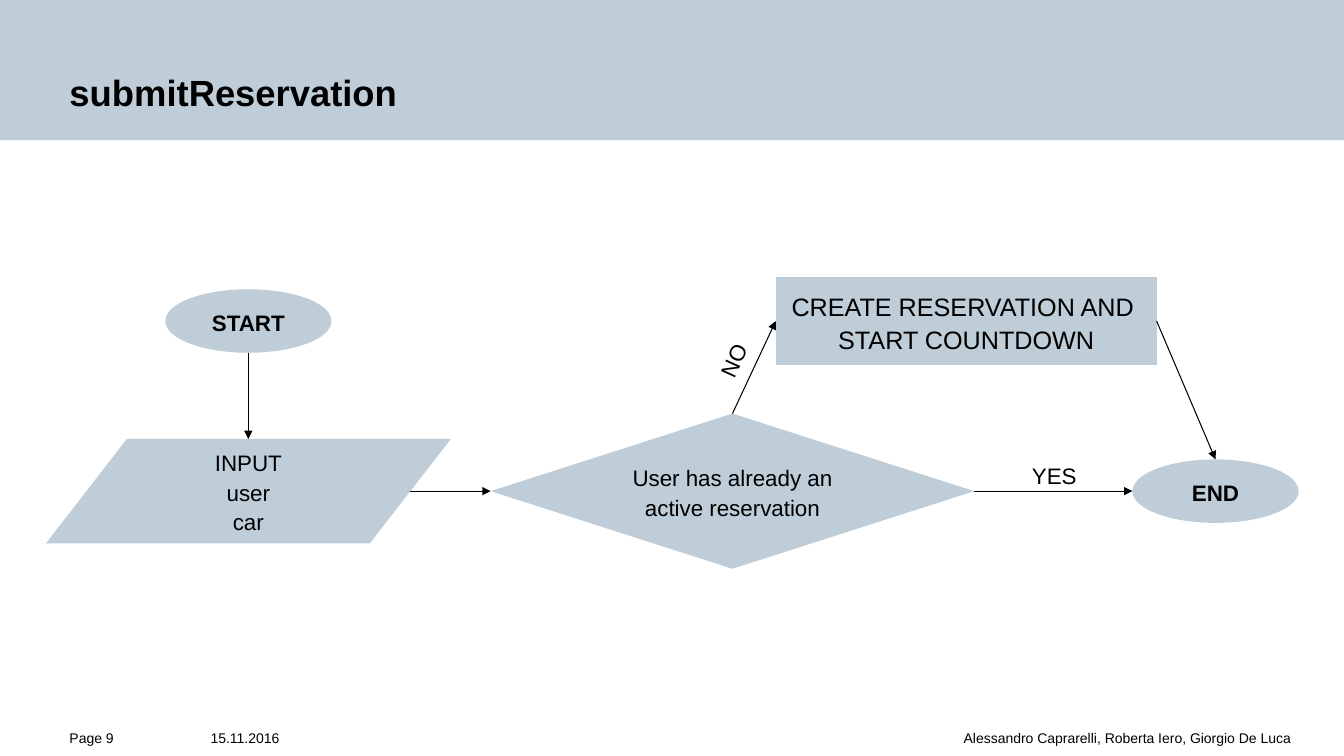
from lxml import etree
from pptx import Presentation
from pptx.dml.color import RGBColor
from pptx.enum.shapes import MSO_CONNECTOR, MSO_SHAPE
from pptx.enum.text import MSO_ANCHOR, MSO_AUTO_SIZE, PP_ALIGN
from pptx.oxml.ns import qn
from pptx.util import Inches, Pt

LEFT, CENTER, RIGHT = PP_ALIGN.LEFT, PP_ALIGN.CENTER, PP_ALIGN.RIGHT
TOP, MIDDLE, BOTTOM = MSO_ANCHOR.TOP, MSO_ANCHOR.MIDDLE, MSO_ANCHOR.BOTTOM
NO_AUTOFIT = MSO_AUTO_SIZE.NONE
STRAIGHT = MSO_CONNECTOR.STRAIGHT
OVAL = MSO_SHAPE.OVAL
DATA = MSO_SHAPE.FLOWCHART_DATA
PROCESS = MSO_SHAPE.FLOWCHART_PROCESS
DECISION = MSO_SHAPE.FLOWCHART_DECISION

SLIDE_WIDTH, SLIDE_HEIGHT = Inches(13.34), Inches(7.5)
INK, PALE_BLUE = "000000", "BECDD7"
START_COLUMN, DECISION_COLUMN, PROCESS_COLUMN, END_COLUMN = 18.48, 54.5, 71.89, 90.44
UPPER_ROW, LOWER_ROW = 42.47, 64.97
TERMINAL_SIZE = (12.37, 8.4)
LABEL_SIZE = (5.62, 4.53)
NODE_INSETS = (0.9, 0.8, 0.9, 0.8)
NO_INSETS = (0, 0, 0, 0)
MARGIN = 5.17
FOOTER_TOP, FOOTER_HEIGHT = 96.27, 3.73
TOP_EDGE, BOTTOM_EDGE, LEFT_EDGE, RIGHT_EDGE = (0.5, 0), (0.5, 1), (0, 0.5), (1, 0.5)
SLANTED_RIGHT_EDGE = (0.9, 0.5)


def color(hex_value):
    """Turn a hex string into a colour."""
    return RGBColor.from_string(hex_value)


def across(percent):
    """Return a share of the slide's width."""
    return round(SLIDE_WIDTH * percent / 100)


def down(percent):
    """Return a share of the slide's height."""
    return round(SLIDE_HEIGHT * percent / 100)


def set_values(target, values):
    """Set each attribute of the target from a dict."""
    for name, value in values.items():
        setattr(target, name, value)


def frame(left, top, width, height):
    """Return a box, given in percent of the slide, as lengths."""
    return across(left), down(top), across(width), down(height)


def centered_frame(column, row, size):
    """Return a box of the given size around a grid point."""
    width, height = size
    return frame(column - width / 2, row - height / 2, width, height)


def write(shape, text, size, insets, anchor=MIDDLE, align=CENTER, bold=False, spacing=1.1):
    """Write lines of text into a shape and format them."""
    left, top, right, bottom = insets
    text_frame = shape.text_frame
    text_frame.text = text
    set_values(text_frame, {
        "word_wrap": True, "auto_size": NO_AUTOFIT, "vertical_anchor": anchor,
        "margin_left": across(left), "margin_top": down(top),
        "margin_right": across(right), "margin_bottom": down(bottom),
    })
    for paragraph in text_frame.paragraphs:
        set_values(paragraph, {"alignment": align, "line_spacing": spacing})
        set_values(paragraph.font, {"name": "Arial", "size": Pt(size), "bold": bold})
        paragraph.font.color.rgb = color(INK)


def fill_pale(shape):
    """Give a shape the pale blue fill."""
    shape.fill.solid()
    shape.fill.fore_color.rgb = color(PALE_BLUE)


def add_title(slide, text):
    """Turn the title placeholder into the header band."""
    title = slide.shapes.title
    box = frame(0, 0, 100, 18.53)
    set_values(title, dict(zip(("left", "top", "width", "height"), box)))
    fill_pale(title)
    write(title, text, 26, (MARGIN, 5.73, 17.39, 3.47), BOTTOM, LEFT, True, 1.0)


def add_footer(slide, text, left, width, inset_left=0, inset_right=0, align=LEFT):
    """Add one text of the footer line."""
    box = slide.shapes.add_textbox(*frame(left, FOOTER_TOP, width, FOOTER_HEIGHT))
    write(box, text, 10, (inset_left, 0, inset_right, 1.73), TOP, align)


def add_node(slide, kind, text, column, row, node_size, font_size=16, bold=False):
    """Add a flowchart node centred on a grid point."""
    node = slide.shapes.add_shape(kind, *centered_frame(column, row, node_size))
    node.shadow.inherit = False
    fill_pale(node)
    node.line.fill.background()
    write(node, text, font_size, NODE_INSETS, bold=bold)
    return node


def add_label(slide, text, column, row, rotation=0):
    """Add the label of a branch."""
    label = slide.shapes.add_textbox(*centered_frame(column, row, LABEL_SIZE))
    write(label, text, 16, NO_INSETS)
    label.rotation = rotation


def edge_point(node, edge):
    """Return the point at the given shares of a node's box."""
    return round(node.left + node.width * edge[0]), round(node.top + node.height * edge[1])


def add_arrow(slide, source, source_edge, target, target_edge):
    """Draw an arrow from one node's edge to another's."""
    arrow = slide.shapes.add_connector(
        STRAIGHT, *edge_point(source, source_edge), *edge_point(target, target_edge))
    arrow.line.width = Pt(0.75)
    arrow.line.color.rgb = color(INK)
    etree.SubElement(arrow.line._get_or_add_ln(), qn("a:tailEnd"), type="triangle")
    etree.SubElement(arrow._element.spPr, qn("a:effectLst"))


def add_flowchart(slide):
    """Add the nodes, arrows and branch labels."""
    data = add_node(slide, DATA, "INPUT\nuser\ncar", START_COLUMN, LOWER_ROW, (30.13, 13.8))
    start = add_node(slide, OVAL, "START", START_COLUMN, UPPER_ROW, TERMINAL_SIZE, bold=True)
    process = add_node(slide, PROCESS, "CREATE RESERVATION AND \nSTART COUNTDOWN",
                       PROCESS_COLUMN, UPPER_ROW, (28.34, 11.6), 18)
    decision = add_node(slide, DECISION, "User has already an active reservation",
                        DECISION_COLUMN, LOWER_ROW, (35.98, 20.53))
    end = add_node(slide, OVAL, "END", END_COLUMN, LOWER_ROW, TERMINAL_SIZE, bold=True)
    for arrow in (
        (start, BOTTOM_EDGE, data, TOP_EDGE),
        (data, SLANTED_RIGHT_EDGE, decision, LEFT_EDGE),
        (decision, TOP_EDGE, process, LEFT_EDGE),
        (decision, RIGHT_EDGE, end, LEFT_EDGE),
        (process, RIGHT_EDGE, end, TOP_EDGE),
    ):
        add_arrow(slide, *arrow)
    add_label(slide, "YES", 78.45, 62.67)
    add_label(slide, "NO", 54.46, 47.6, 294.4)


def main():
    """Build the slide and save it."""
    presentation = Presentation()
    set_values(presentation, {"slide_width": SLIDE_WIDTH, "slide_height": SLIDE_HEIGHT})
    slide = presentation.slides.add_slide(presentation.slide_layouts.get_by_name("Title Only"))
    add_title(slide, "submitReservation")
    add_footer(slide, "15.11.2016", 0, 32.23, inset_left=15.67)
    add_footer(slide, "Page 9", 0, 14.47, inset_left=MARGIN)
    add_footer(slide, "Alessandro Caprarelli, Roberta Iero, Giorgio De Luca",
               31.03, 68.97, inset_right=3.97, align=RIGHT)
    add_flowchart(slide)
    presentation.save("out.pptx")


if __name__ == "__main__":
    main()
